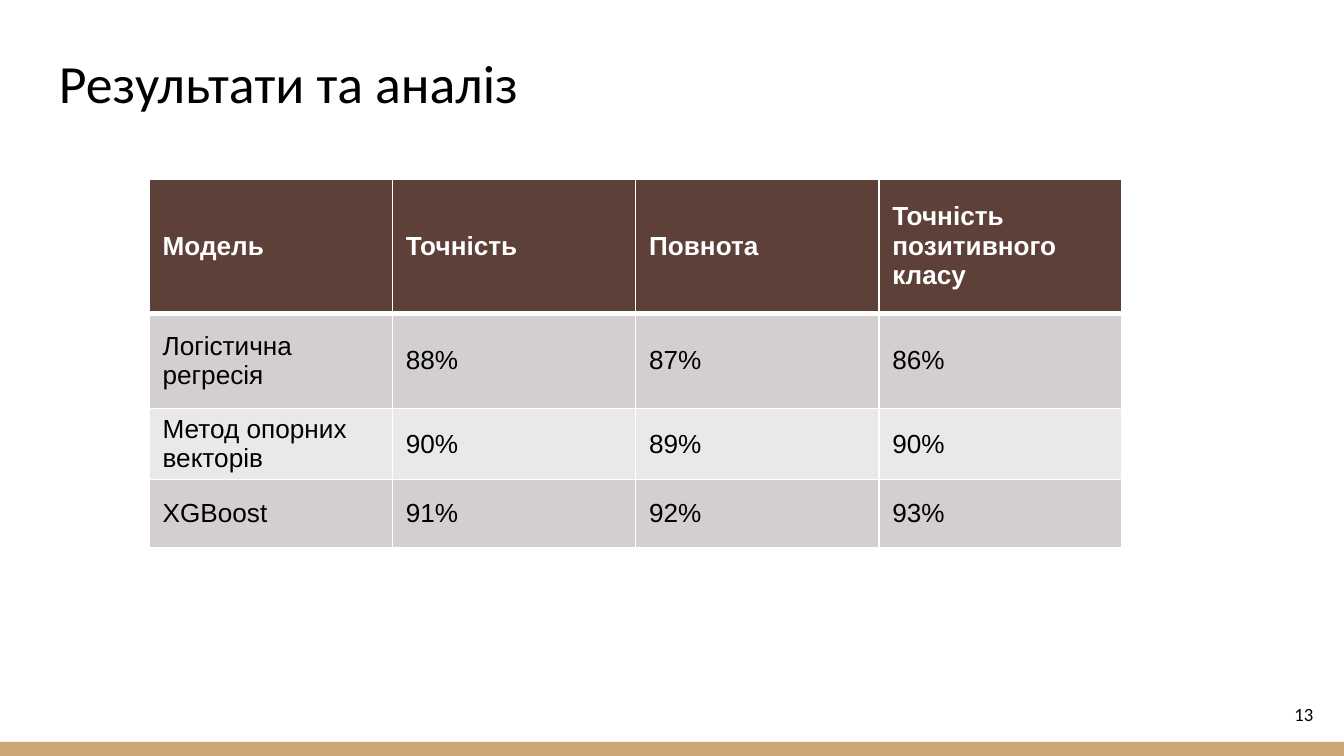
"""Build the results slide: a title and a table comparing three models."""
from lxml import etree
from pptx import Presentation
from pptx.dml.color import RGBColor
from pptx.enum.shapes import MSO_SHAPE
from pptx.enum.text import MSO_ANCHOR, PP_ALIGN
from pptx.oxml.ns import qn
from pptx.util import Inches, Pt

RECTANGLE = MSO_SHAPE.RECTANGLE
MIDDLE, BOTTOM = MSO_ANCHOR.MIDDLE, MSO_ANCHOR.BOTTOM
LEFT, RIGHT = PP_ALIGN.LEFT, PP_ALIGN.RIGHT

TITLE = "Результати та аналіз"
PAGE_NUMBER = "13"
RESULTS = [
    ("Модель", "Точність", "Повнота", "Точність позитивного класу"),
    ("Логістична регресія", "88%", "87%", "86%"),
    ("Метод опорних векторів", "90%", "89%", "90%"),
    ("XGBoost", "91%", "92%", "93%"),
]
SLIDE_WIDTH = 10
SLIDE_HEIGHT = SLIDE_WIDTH * 9 / 16
COLUMN_WIDTH = 1.81
ROW_HEIGHTS = (1, 0.71, 0.51, 0.51)
CELL_MARGIN = 0.03
HEADER_FILL = "5D4037"
BODY_FILLS = ("D2CFCE", "EAE8E8")
WHITE, BLACK, SAND = "FFFFFF", "000000", "CCA677"
THIN, THICK = 1, 3


def color(value):
    return RGBColor.from_string(value)


def style(paragraph, font_name, size, ink, bold=False):
    font = paragraph.font
    font.name, font.size, font.bold = font_name, Pt(size), bold
    font.color.rgb = color(ink)


def add_text(slide, text, box, size, anchor, align):
    frame = slide.shapes.add_textbox(*map(Inches, box)).text_frame
    frame.word_wrap = True
    frame.vertical_anchor = anchor
    frame.margin_left = frame.margin_right = Inches(0.1)
    frame.margin_top = frame.margin_bottom = Inches(0.1)
    paragraph = frame.paragraphs[0]
    paragraph.text = text
    paragraph.alignment = align
    style(paragraph, "Calibri", size, BLACK)


def add_borders(cell, top, bottom):
    properties = cell._tc.get_or_add_tcPr()
    for side, width in (("L", THIN), ("R", THIN), ("T", top), ("B", bottom)):
        line = etree.SubElement(properties, qn(f"a:ln{side}"), w=str(int(Pt(width))))
        fill = etree.SubElement(line, qn("a:solidFill"))
        etree.SubElement(fill, qn("a:srgbClr"), val=WHITE)


def add_results(slide):
    columns = len(RESULTS[0])
    table = slide.shapes.add_table(
        len(RESULTS), columns, Inches(1.11), Inches(1.33),
        Inches(COLUMN_WIDTH * columns), Inches(sum(ROW_HEIGHTS))).table
    for column in table.columns:
        column.width = Inches(COLUMN_WIDTH)
    for r, values in enumerate(RESULTS):
        table.rows[r].height = Inches(ROW_HEIGHTS[r])
        header = r == 0
        row_fill = HEADER_FILL if header else BODY_FILLS[(r - 1) % 2]
        for c, value in enumerate(values):
            cell = table.cell(r, c)
            cell.text = value
            cell.vertical_anchor = MIDDLE
            cell.margin_top = cell.margin_bottom = Inches(CELL_MARGIN)
            add_borders(cell, THICK if r == 1 else THIN, THICK if header else THIN)
            cell.fill.solid()
            cell.fill.fore_color.rgb = color(row_fill)
            style(cell.text_frame.paragraphs[0], "Arial", 14,
                  WHITE if header else BLACK, header)


def main():
    deck = Presentation()
    deck.slide_width, deck.slide_height = Inches(SLIDE_WIDTH), Inches(SLIDE_HEIGHT)
    slide = deck.slides.add_slide(deck.slide_layouts[6])

    footer_band = slide.shapes.add_shape(
        RECTANGLE, 0, Inches(5.52), deck.slide_width, Inches(0.11))
    footer_band.shadow.inherit = False
    footer_band.fill.solid()
    footer_band.fill.fore_color.rgb = color(SAND)
    footer_band.line.fill.background()

    add_text(slide, TITLE, (0.34, 0.35, 9.32, 0.6), 28.8, BOTTOM, LEFT)
    add_text(slide, PAGE_NUMBER, (9.27, 5.1, 0.6, 0.43), 10, MIDDLE, RIGHT)
    add_results(slide)
    deck.save("out.pptx")


if __name__ == "__main__":
    main()
